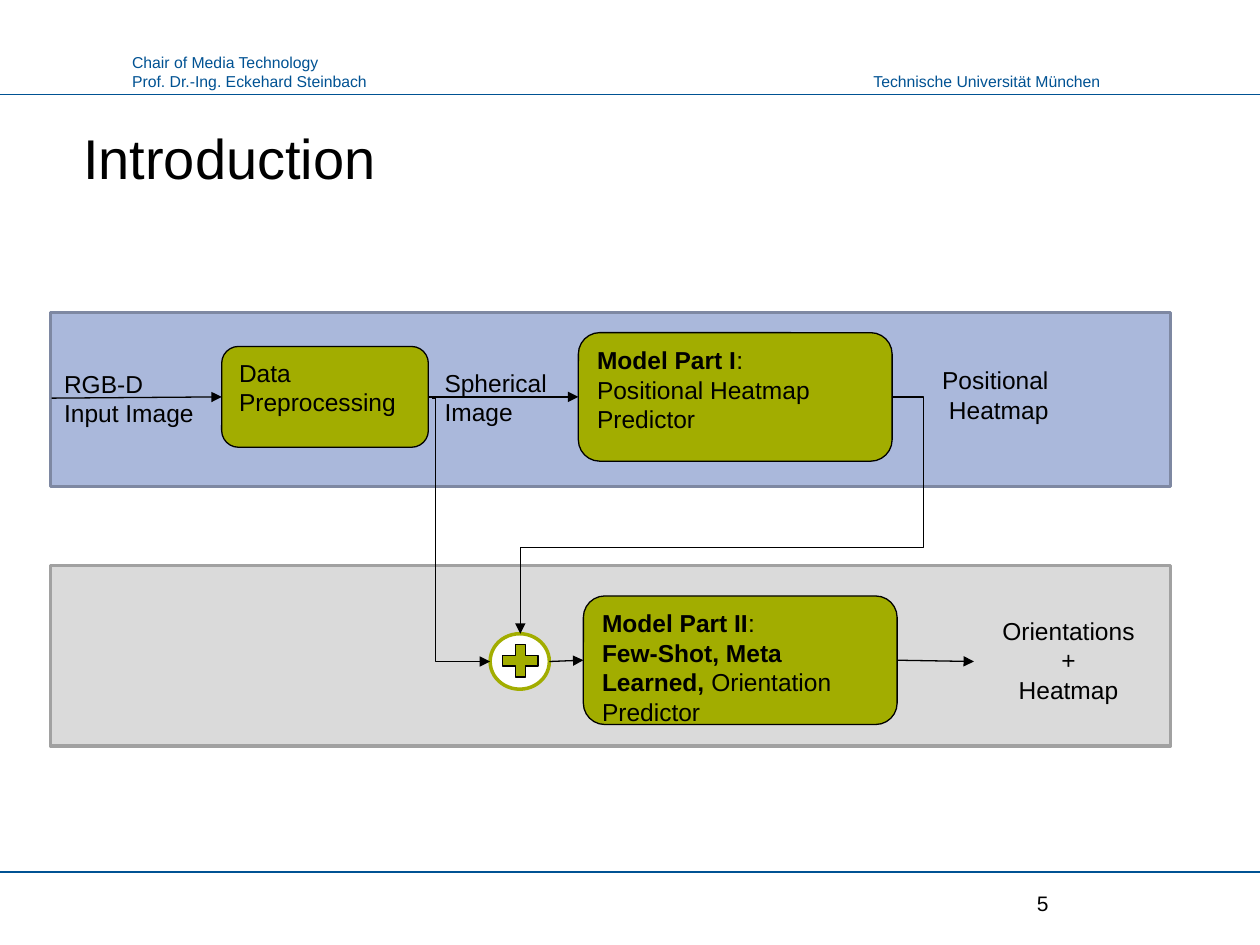
from lxml import etree
from pptx import Presentation
from pptx.dml.color import RGBColor
from pptx.enum.shapes import MSO_CONNECTOR, MSO_SHAPE
from pptx.enum.text import MSO_ANCHOR, PP_ALIGN
from pptx.oxml.ns import qn
from pptx.util import Inches, Pt

BLUE, BLACK, GREEN, WHITE = "005293", "000000", "A2AD00", "FFFFFF"


def color(hex_string):
    return RGBColor.from_string(hex_string)


def write(shape, paragraphs, size=14, font_color=BLACK, align=PP_ALIGN.LEFT,
          anchor=MSO_ANCHOR.TOP, wrap=True):
    """Fill a shape with paragraphs, each a list of (text, bold) runs."""
    frame = shape.text_frame
    frame.word_wrap = wrap
    frame.vertical_anchor = anchor
    for index, runs in enumerate(paragraphs):
        paragraph = frame.add_paragraph() if index else frame.paragraphs[0]
        paragraph.alignment = align
        for text, bold in runs:
            run = paragraph.add_run()
            run.text = text
            run.font.color.rgb = color(font_color)
            font_format = {"name": "Arial", "size": Pt(size), "bold": bold}
            for name, value in font_format.items():
                setattr(run.font, name, value)


presentation = Presentation()
presentation.slide_width = Inches(10)
presentation.slide_height = Inches(7.5)
slide = presentation.slides.add_slide(presentation.slide_layouts[5])

title = slide.shapes.title
title_box = {"left": 0.56, "top": 0.93, "width": 8.89, "height": 0.66}
for name, value in title_box.items():
    setattr(title, name, Inches(value))
write(title, [[("Introduction", False)]], size=32)

# Bands, process boxes and the merge symbol, from back to front
shapes = [
    (MSO_SHAPE.RECTANGLE, (0.4, 4.49, 8.89, 1.43), "DADADA", "A1A1A1", 2, []),
    (MSO_SHAPE.RECTANGLE, (0.4, 2.48, 8.89, 1.38), "AAB8DB", "7E88A2", 2, []),
    (MSO_SHAPE.ROUNDED_RECTANGLE, (4.59, 2.64, 2.49, 1.02), GREEN, BLACK, 0.75,
     [[("Model Part I", True), (":", False)],
      [("Positional Heatmap", False)],
      [("Predictor", False)]]),
    (MSO_SHAPE.ROUNDED_RECTANGLE, (4.63, 4.73, 2.49, 1.02), GREEN, BLACK, 0.75,
     [[("Model Part II", True), (":", False)],
      [("Few-Shot, Meta Learned, ", True), ("Orientation Predictor", False)]]),
    (MSO_SHAPE.ROUNDED_RECTANGLE, (1.76, 2.75, 1.64, 0.8), GREEN, BLACK, 0.75,
     [[("Data Preprocessing", False)]]),
    (MSO_SHAPE.OVAL, (3.89, 5.03, 0.47, 0.44), WHITE, GREEN, 2, []),
    (MSO_SHAPE.MATH_PLUS, (3.94, 5.07, 0.38, 0.35), GREEN, BLACK, 0.75, []),
]
for kind, box, fill, line, line_width, paragraphs in shapes:
    shape = slide.shapes.add_shape(kind, *map(Inches, box))
    shape.shadow.inherit = False
    shape.fill.solid()
    shape.fill.fore_color.rgb = color(fill)
    shape.line.color.rgb = color(line)
    shape.line.width = Pt(line_width)
    write(shape, paragraphs)

# Start, end, colour, arrowhead, elbow preset and its bend positions
connectors = [
    ((0, 0.75), (10, 0.75), BLUE, False, None, []),
    ((0, 6.92), (10, 6.92), BLUE, False, None, []),
    ((0.41, 3.16), (1.76, 3.15), BLACK, True, None, []),
    ((3.4, 3.15), (4.59, 3.15), BLACK, True, None, []),
    ((4.36, 5.25), (4.63, 5.24), BLACK, True, None, []),
    ((7.12, 5.24), (7.73, 5.25), BLACK, True, None, []),
    ((3.43, 3.16), (3.89, 5.25), BLACK, True, "bentConnector3", [6000]),
    ((7.08, 3.15), (4.13, 5.03), BLACK, True, "bentConnector4", [-8500, 63600]),
]
for start, end, line, arrow, elbow, bends in connectors:
    kind = MSO_CONNECTOR.ELBOW if elbow else MSO_CONNECTOR.STRAIGHT
    connector = slide.shapes.add_connector(kind, *map(Inches, start + end))
    connector.line.color.rgb = color(line)
    connector.line.width = Pt(0.75)
    properties = connector._element.spPr
    etree.SubElement(properties, qn("a:effectLst"))
    if arrow:
        etree.SubElement(properties.find(qn("a:ln")), qn("a:tailEnd"), type="triangle")
    if elbow:
        geometry = properties.find(qn("a:prstGeom"))
        geometry.set("prst", elbow)
        adjustments = geometry.find(qn("a:avLst"))
        for number, bend in enumerate(bends, start=1):
            etree.SubElement(adjustments, qn("a:gd"), name=f"adj{number}", fmla=f"val {bend}")

header = {"size": 9, "font_color": BLUE, "wrap": False}
centered = {"align": PP_ALIGN.CENTER}
labels = [
    ((0.95, 0.37, 2.08, 0.4),
     ["Chair of Media Technology", "Prof. Dr.-Ing. Eckehard Steinbach"], header),
    ((6.81, 0.52, 2.02, 0.25), ["Technische Universität München"],
     {**header, "align": PP_ALIGN.RIGHT}),
    ((0.41, 2.88, 1.41, 0.57), ["RGB-D", "Input Image"], {}),
    ((3.43, 2.87, 1.16, 0.57), ["Spherical Image"], {}),
    ((7.31, 2.85, 1.18, 0.57), ["Positional", " Heatmap"], centered),
    ((7.72, 4.84, 1.52, 0.81), ["Orientations", "+", "Heatmap"], centered),
    ((8.13, 7, 1.31, 0.33), ["5"], {"size": 12, "anchor": MSO_ANCHOR.MIDDLE}),
]
for box, lines, text_format in labels:
    label = slide.shapes.add_textbox(*map(Inches, box))
    write(label, [[(text, False)] for text in lines], **text_format)

presentation.save("out.pptx")
